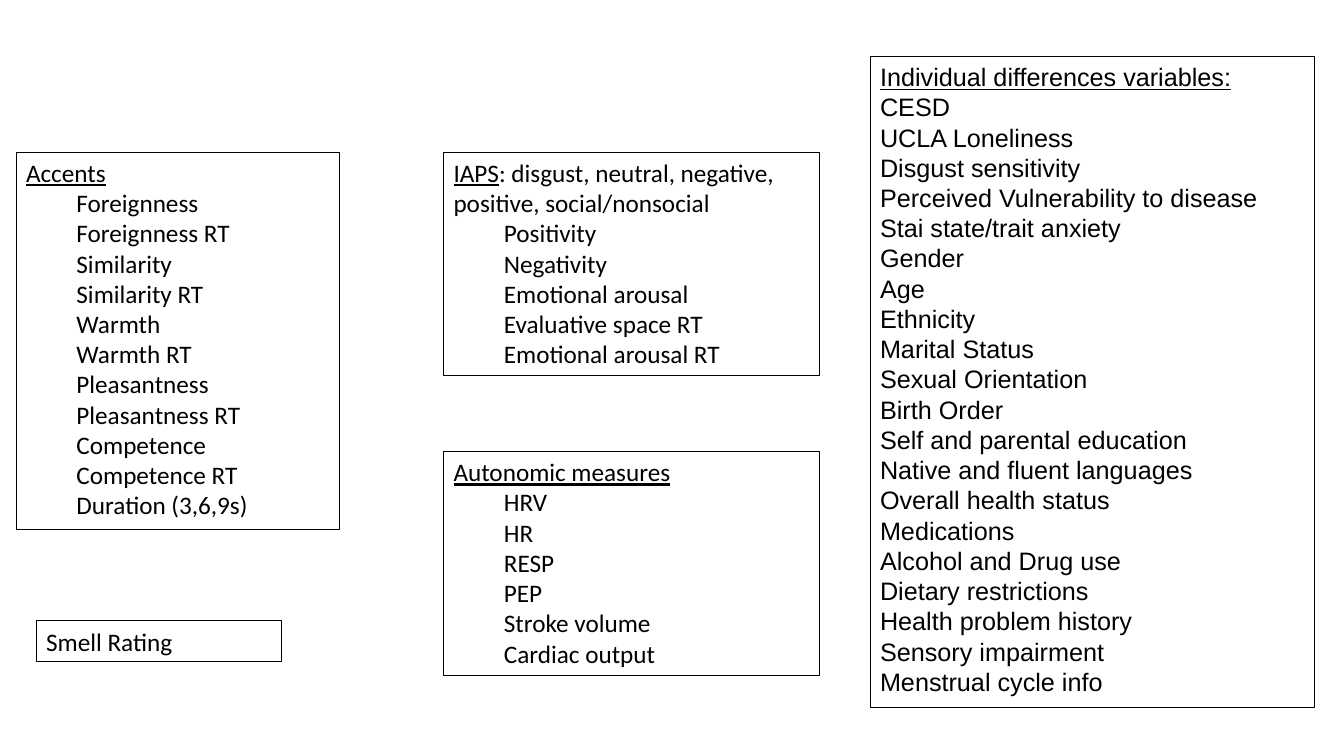
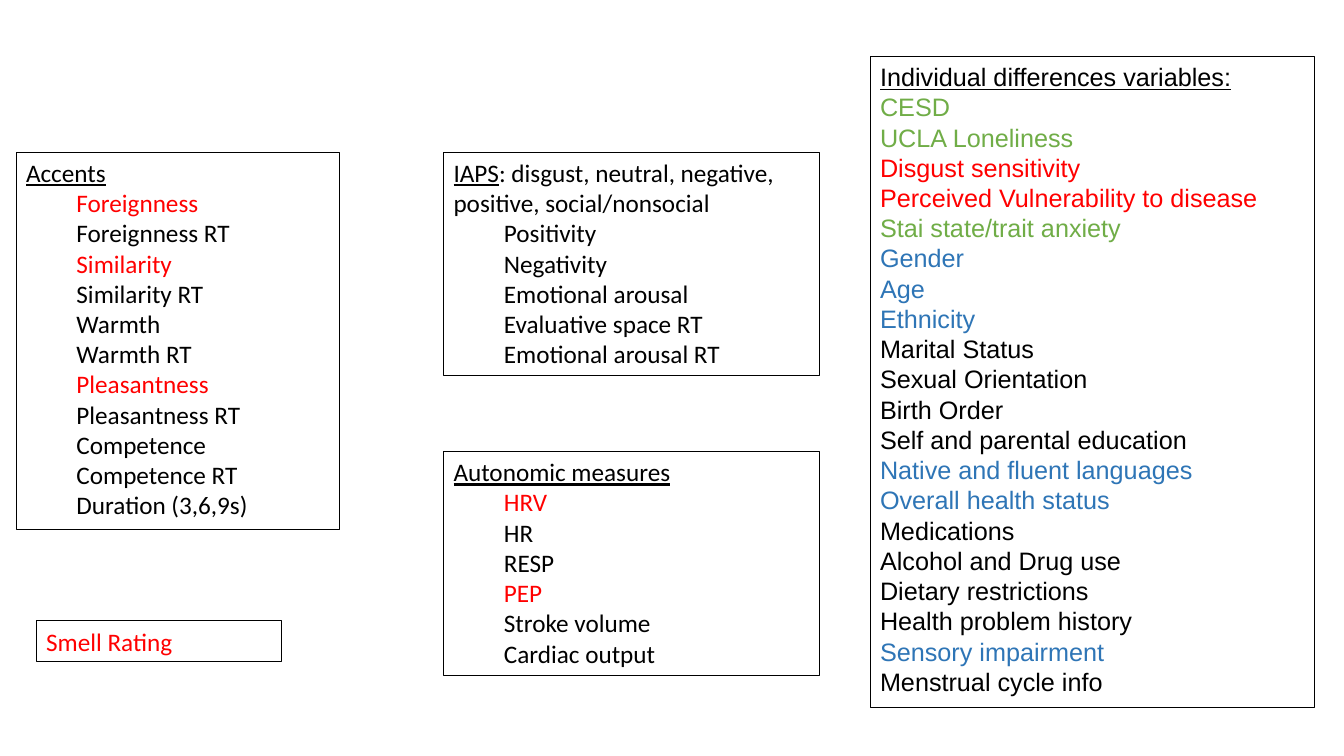
"""Build two slides of study variables, plain and colour-coded."""
from dataclasses import dataclass

from pptx import Presentation
from pptx.dml.color import RGBColor
from pptx.enum.text import MSO_AUTO_SIZE
from pptx.util import Inches, Pt

BLACK, RED, GREEN, BLUE = "000000", "FF0000", "70AD47", "2E75B6"
BLANK_LAYOUT = 6


@dataclass(frozen=True)
class VariableBox:
    """A bordered list of variables under an optional underlined heading."""
    left: float
    top: float
    width: float
    height: float
    items: tuple[str, ...]
    heading: str = ""
    detail: str = ""
    font: str = "Calibri"
    indent: float = 0.5


BOXES = (
    VariableBox(4.4, 1.51, 3.73, 2.22, (
        "Positivity", "Negativity", "Emotional arousal",
        "Evaluative space RT", "Emotional arousal RT",
    ), "IAPS", ": disgust, neutral, negative, positive, social/nonsocial"),
    VariableBox(0.16, 1.51, 3.21, 3.74, (
        "Foreignness", "Foreignness RT", "Similarity", "Similarity RT",
        "Warmth", "Warmth RT", "Pleasantness", "Pleasantness RT",
        "Competence", "Competence RT", "Duration (3,6,9s)",
    ), "Accents"),
    VariableBox(4.4, 4.48, 3.73, 2.22, (
        "HRV", "HR", "RESP", "PEP", "Stroke volume", "Cardiac output",
    ), "Autonomic measures"),
    VariableBox(8.63, 0.56, 4.41, 6.46, (
        "CESD", "UCLA Loneliness", "Disgust sensitivity",
        "Perceived Vulnerability to disease", "Stai state/trait anxiety",
        "Gender", "Age", "Ethnicity", "Marital Status", "Sexual Orientation",
        "Birth Order", "Self and parental education",
        "Native and fluent languages", "Overall health status", "Medications",
        "Alcohol and Drug use", "Dietary restrictions",
        "Health problem history", "Sensory impairment",
        "Menstrual cycle info",
    ), "Individual differences variables:", font="Arial", indent=0),
    VariableBox(0.36, 6.16, 2.43, 0.4, ("Smell Rating",), indent=0),
)

HIGHLIGHTS = {
    RED: ("Foreignness", "Similarity", "Pleasantness", "HRV", "PEP",
          "Disgust sensitivity", "Perceived Vulnerability to disease",
          "Smell Rating"),
    GREEN: ("CESD", "UCLA Loneliness", "Stai state/trait anxiety"),
    BLUE: ("Gender", "Age", "Ethnicity", "Native and fluent languages",
           "Overall health status", "Sensory impairment"),
}
ITEM_COLORS = {item: color for color, items in HIGHLIGHTS.items() for item in items}


def rgb(color: str) -> RGBColor:
    """Turn a hex string into a colour."""
    return RGBColor.from_string(color)


def add_run(p, text: str, font: str, color: str = BLACK, underline: bool = False) -> None:
    """Append a formatted run to a paragraph."""
    r = p.add_run()
    r.text = text
    for name, value in {"name": font, "size": Pt(18), "underline": underline}.items():
        setattr(r.font, name, value)
    r.font.color.rgb = rgb(color)


def add_box(s, box: VariableBox, colors: dict[str, str]) -> None:
    """Draw one variable box, colouring its items by name."""
    sp = s.shapes.add_textbox(*map(Inches, (box.left, box.top, box.width, box.height)))
    sp.line.color.rgb = rgb(BLACK)
    sp.line.width = Pt(0.75)
    tf = sp.text_frame
    for name, value in {"word_wrap": True,
                        "auto_size": MSO_AUTO_SIZE.SHAPE_TO_FIT_TEXT}.items():
        setattr(tf, name, value)
    p = tf.paragraphs[0]
    if box.heading:
        add_run(p, box.heading, box.font, underline=True)
    if box.detail:
        add_run(p, box.detail, box.font)
    for i, item in enumerate(box.items):
        if i or box.heading:
            p = tf.add_paragraph()
        if box.indent:
            p.level = 1
            p._p.get_or_add_pPr().set("marL", str(Inches(box.indent)))
        add_run(p, item, box.font, colors.get(item, BLACK))


def main() -> None:
    """Build and save the deck."""
    prs = Presentation()
    prs.slide_width, prs.slide_height = Inches(13.33), Inches(7.5)
    for colors in ({}, ITEM_COLORS):
        s = prs.slides.add_slide(prs.slide_layouts[BLANK_LAYOUT])
        for box in BOXES:
            add_box(s, box, colors)
    prs.save("out.pptx")


if __name__ == "__main__":
    main()
